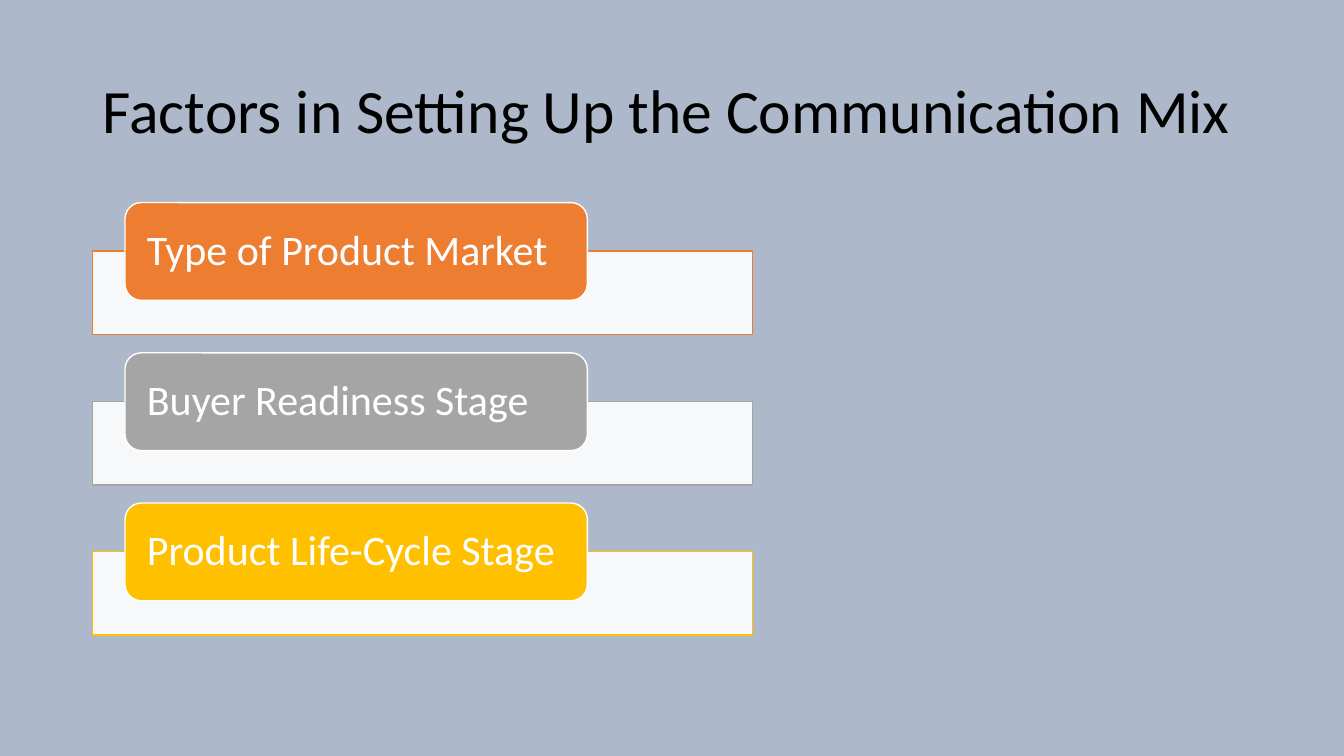
from dataclasses import dataclass

from lxml import etree
from pptx import Presentation
from pptx import util as u
from pptx.dml.color import RGBColor
from pptx.enum import shapes, text
from pptx.oxml import ns

COLOURS = {
    "background": "ADB9CA",
    "black": "000000",
    "white": "FFFFFF",
    "orange": "ED7D31",
    "grey": "A5A5A5",
    "gold": "FFC000",
}
FONT = "Calibri"
WIDTH, HEIGHT = u.Inches(13.33), u.Inches(7.5)
COLUMN, ROW = WIDTH / 100, HEIGHT / 100
LEFT = 6.9
FIRST_ROW, ROW_STEP = 26.8, 19.87


@dataclass(frozen=True)
class Box:
    column: float
    row: float
    columns: float
    rows: float

    def lengths(self) -> tuple[int, int, int, int]:
        return (
            round(self.column * COLUMN),
            round(self.row * ROW),
            round(self.columns * COLUMN),
            round(self.rows * ROW),
        )


@dataclass(frozen=True)
class Factor:
    label: str
    colour: str


FACTORS = [
    Factor("Type of Product Market", "orange"),
    Factor("Buyer Readiness Stage", "grey"),
    Factor("Product Life-Cycle Stage", "gold"),
]


def colour(name: str) -> RGBColor:
    return RGBColor.from_string(COLOURS[name])


def write_text(shape, wording: str, size: float, font_colour: str) -> None:
    frame = shape.text_frame
    frame.word_wrap = True
    frame.auto_size = text.MSO_AUTO_SIZE.NONE
    frame.vertical_anchor = text.MSO_ANCHOR.MIDDLE
    paragraph = frame.paragraphs[0]
    paragraph.alignment = text.PP_ALIGN.LEFT
    paragraph.line_spacing = 0.9
    run = paragraph.add_run()
    run.text = wording
    run.font.name = FONT
    run.font.size = u.Pt(size)
    run.font.color.rgb = colour(font_colour)


def add_box(slide, preset, box: Box, fill: str, line: str):
    shape = slide.shapes.add_shape(preset, *box.lengths())
    shape.shadow.inherit = False
    shape.fill.solid()
    shape.fill.fore_color.rgb = colour(fill)
    shape.line.color.rgb = colour(line)
    shape.line.width = u.Pt(1)
    return shape


def set_opacity(shape, percent: int) -> None:
    fill = shape._element.spPr.find(ns.qn("a:solidFill"))
    etree.SubElement(fill[0], ns.qn("a:alpha"), val=str(percent * 1000))


def add_factor(slide, factor: Factor, row: float) -> None:
    bar = add_box(slide, shapes.MSO_SHAPE.RECTANGLE,
                  Box(LEFT, row + 6.4, 49.1, 11.07), "white", factor.colour)
    set_opacity(bar, 90)
    label = add_box(slide, shapes.MSO_SHAPE.ROUNDED_RECTANGLE,
                    Box(9.3, row, 34.4, 12.93), factor.colour, "white")
    frame = label.text_frame
    frame.margin_left = frame.margin_right = u.Inches(0.17)
    frame.margin_top = frame.margin_bottom = 0
    write_text(label, factor.label, 30, "white")


def main() -> None:
    presentation = Presentation()
    presentation.slide_width, presentation.slide_height = WIDTH, HEIGHT
    slide = presentation.slides.add_slide(presentation.slide_layouts.get_by_name("Title Only"))
    slide.background.fill.solid()
    slide.background.fill.fore_color.rgb = colour("background")

    title = slide.shapes.title
    title.left, title.top, title.width, title.height = Box(LEFT, 5.33, 86.25, 19.33).lengths()
    write_text(title, "Factors in Setting Up the Communication Mix", 44, "black")

    for index, factor in enumerate(FACTORS):
        add_factor(slide, factor, FIRST_ROW + index * ROW_STEP)

    presentation.save("out.pptx")


if __name__ == "__main__":
    main()
